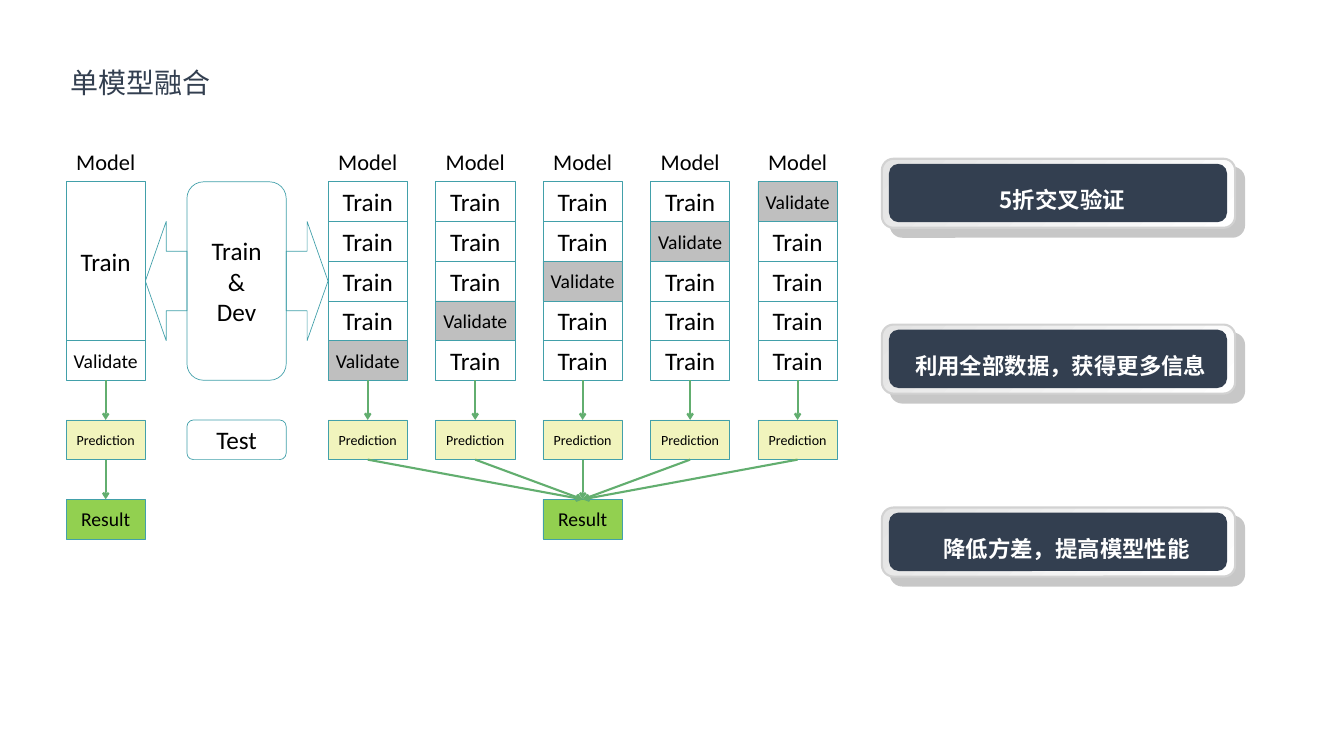
from lxml.etree import SubElement
from pptx import Presentation
from pptx.dml.color import RGBColor
from pptx.enum.shapes import MSO_CONNECTOR, MSO_SHAPE as SHAPE
from pptx.enum.text import MSO_ANCHOR as ANCHOR, PP_ALIGN as ALIGN
from pptx.oxml.ns import qn
from pptx.util import Inches, Pt

COLORS = {
    "navy": "333F50", "white": "FFFFFF", "black": "000000", "silver": "E4E4E4",
    "rim": "D2D2D2", "teal": "42A0AA", "arrow": "62AE6F", "held out": "BFBFBF",
    "prediction": "F1F4BD", "result": "92D050",
}
COLORS = {name: RGBColor.from_string(value) for name, value in COLORS.items()}
LATIN, CHINESE = "Calibri", "Noto Sans CJK SC"

# Diagram grid: equal rows, one single-model column and five fold columns
TOP, ROW, CELL = 2.82, 0.7875, 1.575
LEFT, FOLD_LEFT, FOLD_STEP, FOLDS = 1.31, 6.51, 2.1325, 5
POOL_LEFT, POOL_WIDTH = 3.71, 1.97
PREDICTION_ROW, RESULT_ROW = 7, 9
rows = [TOP + ROW * index for index in range(RESULT_ROW + 1)]
folds = [FOLD_LEFT + FOLD_STEP * index for index in range(FOLDS)]

presentation = Presentation()
presentation.slide_width, presentation.slide_height = Inches(26.67), Inches(15)
slide = presentation.slides.add_slide(presentation.slide_layouts[6])


def add_box(left, top, width, height, text="", size=36, kind=SHAPE.RECTANGLE,
            fill=None, line="teal", color="black", font_name=LATIN, bold=False):
    """Add a shape, or a text box when kind is None, with its text."""
    place = [Inches(value) for value in (left, top, width, height)]
    if kind is None:
        shape = slide.shapes.add_textbox(*place)
    else:
        shape = slide.shapes.add_shape(kind, *place)
        shape.shadow.inherit = False
        if fill:
            shape.fill.solid()
            shape.fill.fore_color.rgb = COLORS[fill]
        else:
            shape.fill.background()
        if line:
            shape.line.color.rgb = COLORS[line]
            shape.line.width = Pt(1)
        else:
            shape.line.fill.background()
    frame = shape.text_frame
    frame.word_wrap = True
    frame.vertical_anchor = ANCHOR.MIDDLE
    if text:
        frame.text = text
        for paragraph in frame.paragraphs:
            paragraph.alignment = ALIGN.CENTER
            font = paragraph.font
            font.size, font.bold, font.name = Pt(size), bold, font_name
            font.color.rgb = COLORS[color]
            if font_name == CHINESE:
                paragraph.alignment = ALIGN.LEFT
                paragraph.line_spacing = 1.5
                frame.vertical_anchor = ANCHOR.TOP
                frame.margin_top = frame.margin_bottom = Inches(0.1)
                defaults = paragraph._p.pPr.find(qn("a:defRPr"))
                SubElement(defaults, qn("a:ea"), typeface=CHINESE)
    return shape


def add_arrow(start_x, start_y, end_x, end_y):
    ends = [Inches(value) for value in (start_x, start_y, end_x, end_y)]
    arrow = slide.shapes.add_connector(MSO_CONNECTOR.STRAIGHT, *ends)
    arrow.line.color.rgb = COLORS["arrow"]
    arrow.line.width = Pt(3)
    SubElement(arrow.line._get_or_add_ln(), qn("a:tailEnd"), type="arrow")
    SubElement(arrow._element.spPr, qn("a:effectLst"))


# Title
add_box(LEFT, 0.87, 6.19, 1.21, "单模型融合", 40, None, color="navy", font_name=CHINESE)

# Benefit cards: top, text, text left, text width
cards = [
    (3.15, "5折交叉验证", 19.74, 2.93),
    (6.44, "利用全部数据，获得更多信息", 18.06, 6.06),
    (10.07, "降低方差，提高模型性能", 18.62, 5.11),
]
for top, text, text_left, text_width in cards:
    rim = add_box(17.5, top, 7.01, 1.37, kind=SHAPE.ROUNDED_RECTANGLE, line="rim")
    rim.line.width = Pt(3)
    rim.fill.gradient()
    rim.fill.gradient_angle = 315
    for stop, name in zip(rim.fill.gradient_stops, ("silver", "white")):
        stop.color.rgb = COLORS[name]
    effects = rim._element.spPr.find(qn("a:effectLst"))
    shadow = SubElement(effects, qn("a:outerShdw"), blurRad="0", dist=str(Pt(18)),
                        dir="2700000", algn="tl", rotWithShape="0")
    tint = SubElement(shadow, qn("a:srgbClr"), val=str(COLORS["black"]))
    SubElement(tint, qn("a:alpha"), val="22000")
    add_box(17.64, top + 0.1, 6.71, 1.16, kind=SHAPE.ROUNDED_RECTANGLE,
            fill="navy", line=None)
    add_box(text_left, top + 0.18, text_width, 1.01, text, 32, None,
            color="white", font_name=CHINESE, bold=True)

# Single model split
add_box(LEFT, rows[1], CELL, 4 * ROW, "Train")
add_box(LEFT, rows[5], CELL, ROW, "Validate", 28)

# Five folds, the held-out part moving up one row each time
for index, left in enumerate(folds):
    for row in range(1, FOLDS + 1):
        if row == FOLDS - index:
            add_box(left, rows[row], CELL, ROW, "Validate", 28, fill="held out")
        else:
            add_box(left, rows[row], CELL, ROW, "Train")

# Model headings and predictions for every column
for left in [LEFT, *folds]:
    add_box(left, rows[0], CELL, ROW, "Model", 32, None)
    add_box(left, rows[PREDICTION_ROW], CELL, ROW, "Prediction", 20, fill="prediction")
    center = left + CELL / 2
    add_arrow(center, rows[6], center, rows[PREDICTION_ROW])

# Results, each gathering its predictions
for result_left, sources in ((LEFT, [LEFT]), (folds[2], folds)):
    add_box(result_left, rows[RESULT_ROW], CELL, ROW, "Result", 28, fill="result")
    for left in sources:
        add_arrow(left + CELL / 2, rows[8], result_left + CELL / 2, rows[RESULT_ROW])

# Data pool between the two schemes
add_box(POOL_LEFT, rows[1], POOL_WIDTH, 5 * ROW, "Train\n&\nDev",
        kind=SHAPE.ROUNDED_RECTANGLE)
add_box(POOL_LEFT, rows[PREDICTION_ROW], POOL_WIDTH, ROW, "Test",
        kind=SHAPE.ROUNDED_RECTANGLE)
add_box(LEFT + CELL, rows[2], POOL_LEFT - LEFT - CELL, 3 * ROW, kind=SHAPE.LEFT_ARROW)
pool_right = POOL_LEFT + POOL_WIDTH
add_box(pool_right, rows[2], FOLD_LEFT - pool_right, 3 * ROW, kind=SHAPE.RIGHT_ARROW)

presentation.save("out.pptx")
